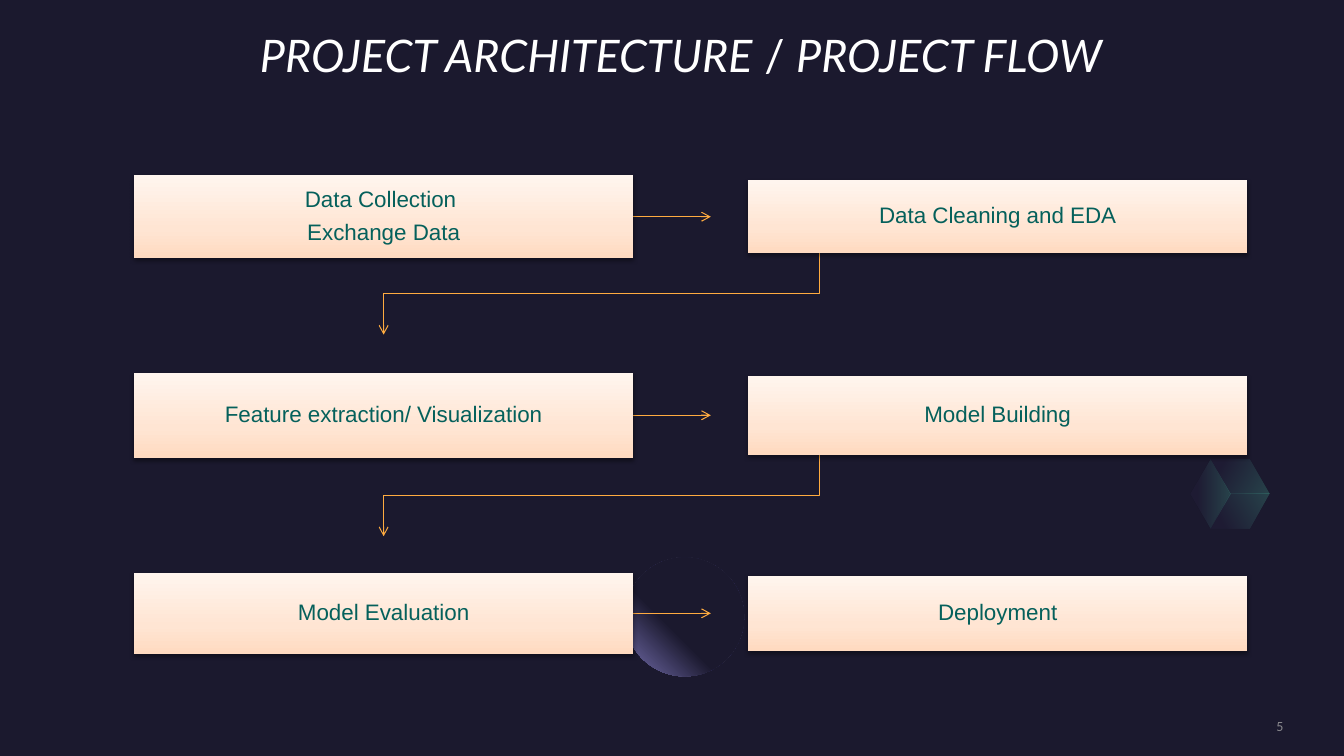
import pptx
import pptx.util
import pptx.dml.color
import pptx.enum.shapes
import pptx.enum.text
import pptx.oxml
import pptx.oxml.ns

Inches, Pt = pptx.util.Inches, pptx.util.Pt
RGBColor = pptx.dml.color.RGBColor
MSO_SHAPE = pptx.enum.shapes.MSO_SHAPE
MSO_CONNECTOR = pptx.enum.shapes.MSO_CONNECTOR
PP_ALIGN = pptx.enum.text.PP_ALIGN
MSO_ANCHOR = pptx.enum.text.MSO_ANCHOR

NIGHT = RGBColor(0x1B, 0x19, 0x2E)
INDIGO = RGBColor(0x2C, 0x28, 0x4A)
MINT = RGBColor(0x5B, 0xEF, 0xC1)
VIOLET = RGBColor(0x77, 0x71, 0xB2)
ORANGE = RGBColor(0xFF, 0xAB, 0x40)
PEACH = RGBColor(0xFF, 0xDA, 0xC0)
PEACH_MID = RGBColor(0xFF, 0xE5, 0xD3)
PEACH_LIGHT = RGBColor(0xFF, 0xF5, 0xEE)
TEAL = RGBColor(0x05, 0x60, 0x5B)
WHITE = RGBColor(0xFF, 0xFF, 0xFF)
GREY = RGBColor(0xA6, 0xA6, 0xA6)
BLACK = RGBColor(0, 0, 0)

# Flow grid: left edges of the columns, centres of the rows
COLUMNS = (1.33, 7.42)
STEP_WIDTH = 4.95
ROWS = (2.15, 4.12, 6.085)
STEPS = (
    ((("Data Collection ", "Exchange Data"), 0.82), (("Data Cleaning and EDA",), 0.72)),
    ((("Feature extraction/ Visualization",), 0.84), (("Model Building",), 0.78)),
    ((("Model Evaluation",), 0.81), (("Deployment",), 0.75)),
)
ARROW_LENGTH = 0.77
RETURN_X = 8.13
RETURN_DROP = 0.81


def xml(markup):
    head, rest = markup.split(">", 1)
    slash = "/" if head.endswith("/") else ""
    return pptx.oxml.parse_xml(f"{head.rstrip('/')} {pptx.oxml.ns.nsdecls('a')}{slash}>{rest}")


def color_xml(color, alpha=100):
    return f'<a:srgbClr val="{color}"><a:alpha val="{alpha * 1000}"/></a:srgbClr>'


def paint_gradient(shape, stops, direction, alpha=100):
    """Fill a borderless, shadowless shape with a gradient."""
    shape.shadow.inherit = False
    shape.line.fill.background()
    shape.fill.background()
    stop_list = "".join(f'<a:gs pos="{pos * 1000}">{color_xml(color, alpha)}</a:gs>'
                        for pos, color in stops)
    no_fill = shape._element.spPr.find(pptx.oxml.ns.qn("a:noFill"))
    no_fill.getparent().replace(no_fill, xml(
        f'<a:gradFill rotWithShape="1"><a:gsLst>{stop_list}</a:gsLst>{direction}</a:gradFill>'))


def linear(degrees):
    return f'<a:lin ang="{degrees * 60000}" scaled="0"/>'


def add_run(paragraph, text, font, size, color, italic=False):
    run = paragraph.add_run()
    run.text = text
    run.font.name, run.font.size = font, Pt(size)
    run.font.color.rgb = color
    run.font.bold, run.font.italic = False, italic
    return run


def place(shape, left, top, width, height):
    shape.left, shape.top = Inches(left), Inches(top)
    shape.width, shape.height = Inches(width), Inches(height)


def set_margins(frame, margin):
    frame.margin_left = frame.margin_right = Inches(margin)
    frame.margin_top = frame.margin_bottom = Inches(margin)


def add_cube(slide, left, top, width, height):
    """Three translucent faces inside a hexagon."""
    quarter, middle = width / 4, top + height / 2
    west, east = (left, middle), (left + width, middle)
    north_west, north_east = (left + quarter, top), (left + 3 * quarter, top)
    south_west, south_east = (left + quarter, top + height), (left + 3 * quarter, top + height)
    core = (left + width / 2, middle)
    faces = (
        ((north_east, north_west, core, east), 30),
        ((south_west, west, north_west, core), 0),
        ((east, south_east, south_west, core), 330),
    )
    for corners, angle in faces:
        points = [(Inches(x), Inches(y)) for x, y in corners]
        outline = slide.shapes.build_freeform(*points[0])
        outline.add_line_segments(points[1:], close=True)
        paint_gradient(outline.convert_to_shape(), ((20, INDIGO), (100, MINT)),
                       linear(angle), alpha=20)


def add_moon(slide, left, top, size):
    moon = slide.shapes.add_shape(MSO_SHAPE.OVAL, Inches(left), Inches(top),
                                  Inches(size), Inches(size))
    paint_gradient(moon, ((60, NIGHT), (100, VIOLET)),
                   '<a:path path="circle"><a:fillToRect l="100000" b="100000"/></a:path>')


def add_title(slide, left, top, width, height):
    title = slide.shapes.title
    place(title, left, top, width, height)
    frame = title.text_frame
    frame.word_wrap = True
    frame.auto_size = pptx.enum.text.MSO_AUTO_SIZE.NONE
    frame.vertical_anchor = MSO_ANCHOR.TOP
    heading = frame.paragraphs[0]
    heading.alignment = PP_ALIGN.CENTER
    for text, italic in (("PROJECT ARCHITECTURE", True), (" / ", False), ("PROJECT FLOW", True)):
        add_run(heading, text, "Lato", 32, WHITE, italic)


def add_page_number(slide, left, top, width, height):
    box = slide.shapes.add_textbox(Inches(left), Inches(top), Inches(width), Inches(height))
    frame = box.text_frame
    frame.word_wrap = True
    set_margins(frame, 0)
    frame.vertical_anchor = MSO_ANCHOR.MIDDLE
    frame.paragraphs[0].alignment = PP_ALIGN.RIGHT
    number = add_run(frame.paragraphs[0], "5", "Calibri", 10, GREY)
    fill = number._r.rPr.find(pptx.oxml.ns.qn("a:solidFill"))
    fill[0].append(xml('<a:alpha val="80000"/>'))


def add_step(slide, left, top, width, height, lines):
    step = slide.shapes.add_shape(MSO_SHAPE.RECTANGLE, Inches(left), Inches(top),
                                  Inches(width), Inches(height))
    paint_gradient(step, ((0, PEACH), (35, PEACH_MID), (100, PEACH_LIGHT)), linear(270))
    effects = step._element.spPr.find(pptx.oxml.ns.qn("a:effectLst"))
    effects.append(xml(f'<a:outerShdw blurRad="{Pt(3.1)}" dist="{Pt(1.6)}" dir="5400000" '
                       f'rotWithShape="0">{color_xml(BLACK, 38)}</a:outerShdw>'))
    frame = step.text_frame
    frame.word_wrap = True
    frame.vertical_anchor = MSO_ANCHOR.MIDDLE
    set_margins(frame, 0.12)
    for index, text in enumerate(lines):
        line = frame.add_paragraph() if index else frame.paragraphs[0]
        line.alignment = PP_ALIGN.CENTER
        line.line_spacing, line.space_after = 0.9, Pt(5.6)
        add_run(line, text, "Arial", 16, TEAL)


def add_arrow(slide, kind, start, end):
    arrow = slide.shapes.add_connector(kind, *(Inches(v) for v in (*start, *end)))
    arrow.line.color.rgb = ORANGE
    arrow.line.width = Pt(0.75)
    arrow.line._get_or_add_ln().append(xml('<a:tailEnd type="arrow"/>'))
    arrow._element.spPr.append(xml("<a:effectLst/>"))
    return arrow


def add_return_arrow(slide, start, end):
    """Elbow that leaves downwards: drawn sideways, then turned by 90 degrees."""
    center_x, center_y = (start[0] + end[0]) / 2, (start[1] + end[1]) / 2
    half_across, half_down = (start[0] - end[0]) / 2, (end[1] - start[1]) / 2
    arrow = add_arrow(slide, MSO_CONNECTOR.ELBOW,
                      (center_x - half_down, center_y - half_across),
                      (center_x + half_down, center_y + half_across))
    arrow._element.spPr.xfrm.set("rot", "5400000")


def add_flow(slide):
    right_of_first = COLUMNS[0] + STEP_WIDTH
    for row, (center, steps) in enumerate(zip(ROWS, STEPS)):
        add_arrow(slide, MSO_CONNECTOR.STRAIGHT, (right_of_first, center),
                  (right_of_first + ARROW_LENGTH, center))
        if row < len(ROWS) - 1:
            bottom = center + steps[1][1] / 2
            add_return_arrow(slide, (RETURN_X, bottom),
                             (COLUMNS[0] + STEP_WIDTH / 2, bottom + RETURN_DROP))
        for left, (lines, height) in zip(COLUMNS, steps):
            add_step(slide, left, center - height / 2, STEP_WIDTH, height, lines)


def main():
    deck = pptx.Presentation()
    deck.slide_width, deck.slide_height = Inches(13.33), Inches(7.5)
    slide = deck.slides.add_slide(deck.slide_layouts[5])
    slide.background.fill.solid()
    slide.background.fill.fore_color.rgb = NIGHT
    add_cube(slide, 11.81, 4.56, 0.78, 0.68)
    add_moon(slide, 6.2, 5.53, 1.18)
    add_page_number(slide, 10.88, 7.12, 1.85, 0.17)
    add_title(slide, 0.5, 0.22, 12.51, 0.64)
    add_flow(slide)
    deck.save("out.pptx")


if __name__ == "__main__":
    main()
